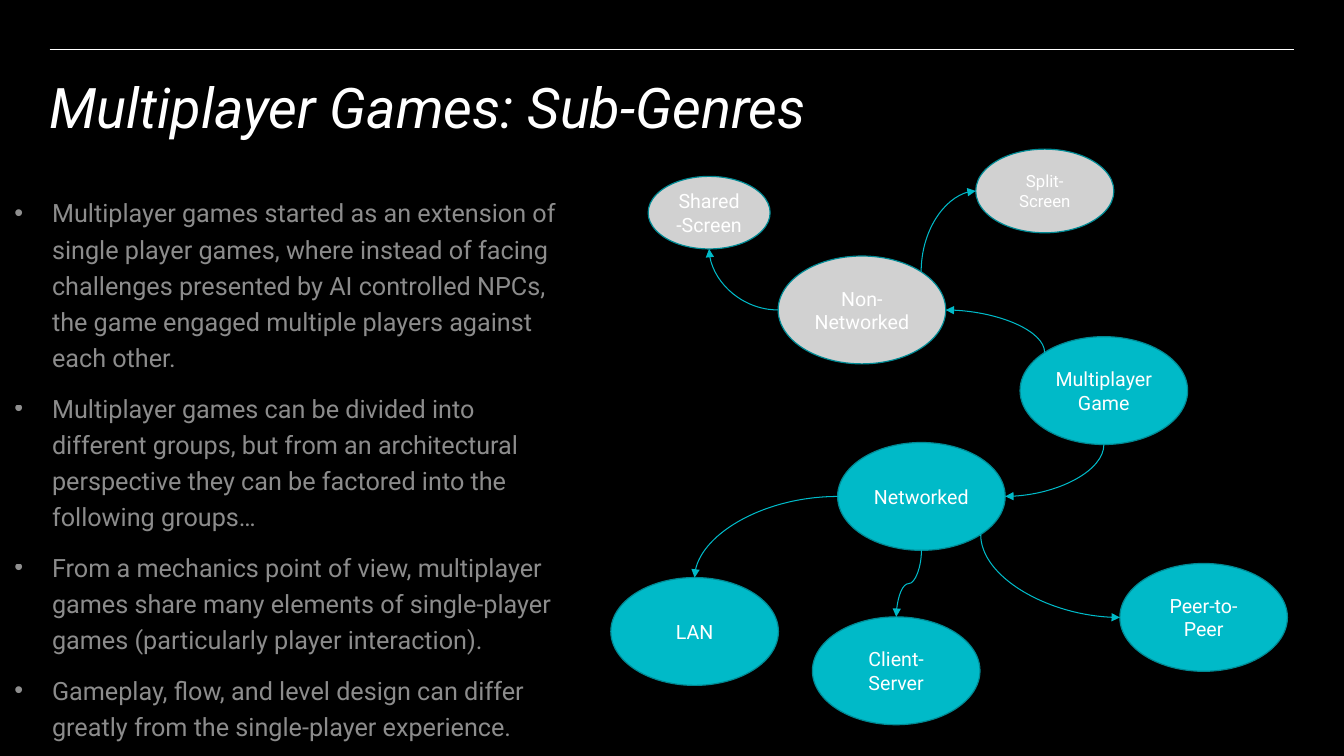
import math

import lxml.etree
import pptx
import pptx.dml.color
import pptx.enum.dml
import pptx.enum.shapes
import pptx.enum.text
import pptx.oxml.ns
import pptx.util

BLACK = pptx.dml.color.RGBColor(0x00, 0x00, 0x00)
WHITE = pptx.dml.color.RGBColor(0xFF, 0xFF, 0xFF)
TEAL = pptx.dml.color.RGBColor(0x00, 0xBA, 0xC8)
DARK_TEAL = pptx.dml.color.RGBColor(0x00, 0x8A, 0x94)
GREY = pptx.dml.color.RGBColor(0xD1, 0xD1, 0xD1)

COLUMNS, ROWS = 160, 90
SITES = ("top", "top left", "left", "bottom left",
         "bottom", "bottom right", "right", "top right")

GENRES = {
    "Multiplayer Game": dict(col=121.44, row=40.08),
    "Split-Screen": dict(col=116.16, row=17.76, cols=16.44, rows=9.96, fill=GREY, size=12),
    "Client-Server": dict(col=96.72, row=73.44),
    "LAN": dict(col=72.72, row=68.76),
    "Shared-Screen": dict(col=77.16, row=21, cols=14.52, rows=8.64, fill=GREY),
    "Non-Networked": dict(col=92.64, row=30.48, fill=GREY),
    "Peer-to-Peer": dict(col=133.32, row=67.08),
    "Networked": dict(col=99.72, row=52.68),
}

BRANCHES = [
    ("Multiplayer Game", "top left", "Non-Networked", "right"),
    ("Non-Networked", "top right", "Split-Screen", "left"),
    ("Non-Networked", "left", "Shared-Screen", "bottom"),
    ("Networked", "bottom right", "Peer-to-Peer", "left"),
    ("Multiplayer Game", "bottom", "Networked", "right"),
    ("Networked", "left", "LAN", "top"),
    ("Networked", "bottom", "Client-Server", "top"),
]

POINTS = [
    "Multiplayer games started as an extension of single player games, where instead of "
    "facing challenges presented by AI controlled NPCs, the game engaged multiple players "
    "against each other.",
    "Multiplayer games can be divided into different groups, but from an architectural "
    "perspective they can be factored into the following groups…",
    "From a mechanics point of view, multiplayer games share many elements of "
    "single-player games (particularly player interaction).",
    "Gameplay, flow, and level design can differ greatly from the single-player experience.",
]


def add_xml(parent, tag, **attributes):
    """Append a child element with the given attributes."""
    names = {key.replace("r_", ""): str(value) for key, value in attributes.items()}
    return lxml.etree.SubElement(parent, pptx.oxml.ns.qn(tag), names)


def write(paragraph, text, size=14, color=WHITE, italic=False, align=None, spacing=None,
          before=None, bullet_indent=None, opacity=None):
    """Fill a paragraph with formatted text."""
    if bullet_indent is not None:
        properties = paragraph._p.get_or_add_pPr()
        properties.set("marL", str(bullet_indent))
        properties.set("indent", str(-bullet_indent))
        add_xml(properties, "a:buFont", typeface="Arial")
        add_xml(properties, "a:buChar", char="•")
    paragraph.alignment = align
    paragraph.line_spacing = spacing
    paragraph.space_before = before
    run = paragraph.add_run()
    run.text = text
    run.font.name = "Roboto"
    run.font.size = pptx.util.Pt(size)
    run.font.italic = italic
    run.font.color.rgb = color
    if opacity is not None:
        tint = run.font.element if hasattr(run.font, "element") else run._r.rPr
        add_xml(tint.find(".//" + pptx.oxml.ns.qn("a:srgbClr")), "a:alpha",
                val=int(opacity * 100000))


class GenreSlide:
    """Hold the slide and its style, and draw each kind of element on a grid."""

    def __init__(self, deck):
        self.cell_width = deck.slide_width / COLUMNS
        self.cell_height = deck.slide_height / ROWS
        self.slide = deck.slides.add_slide(deck.slide_layouts[6])
        self.slide.background.fill.solid()
        self.slide.background.fill.fore_color.rgb = BLACK

    def x(self, columns):
        """Turn columns into a length."""
        return round(columns * self.cell_width)

    def y(self, rows):
        """Turn rows into a length."""
        return round(rows * self.cell_height)

    def text(self, col, row, cols, rows, paragraphs, anchor, right_inset=0, gap=None, **style):
        """Add a wrapped text box with one paragraph per text."""
        box = self.slide.shapes.add_textbox(self.x(col), self.y(row), self.x(cols), self.y(rows))
        frame = box.text_frame
        frame.word_wrap = True
        frame.vertical_anchor = anchor
        frame.margin_left = frame.margin_top = frame.margin_bottom = 0
        frame.margin_right = self.x(right_inset)
        for index, words in enumerate(paragraphs):
            paragraph = frame.add_paragraph() if index else frame.paragraphs[0]
            write(paragraph, words, before=gap if index else None, **style)

    def line(self, kind, begin, end, color, width):
        """Add a plain connector between two points."""
        connector = self.slide.shapes.add_connector(kind, *map(round, (*begin, *end)))
        connector.line.color.rgb = color
        connector.line.width = pptx.util.Pt(width)
        add_xml(connector.element.spPr, "a:effectLst")
        return connector

    def bubble(self, label, col, row, cols=19.95, rows=12.84, fill=TEAL, size=14):
        """Add a labelled ellipse."""
        oval = self.slide.shapes.add_shape(
            pptx.enum.shapes.MSO_SHAPE.OVAL,
            self.x(col), self.y(row), self.x(cols), self.y(rows))
        oval.shadow.inherit = False
        oval.fill.solid()
        oval.fill.fore_color.rgb = fill
        oval.line.color.rgb = DARK_TEAL
        oval.line.width = pptx.util.Pt(0.85)
        oval.text_frame.word_wrap = True
        oval.text_frame.vertical_anchor = pptx.enum.text.MSO_ANCHOR.MIDDLE
        write(oval.text_frame.paragraphs[0], label, size=size,
              align=pptx.enum.text.PP_ALIGN.CENTER)
        return oval

    def site(self, oval, name):
        """Locate a connection site on an ellipse."""
        angle = SITES.index(name) * math.pi / 4
        return (oval.left + oval.width / 2 * (1 - math.sin(angle)),
                oval.top + oval.height / 2 * (1 - math.cos(angle)))

    def branch(self, parent, exit_site, child, entry_site):
        """Add a curved arrow glued to two ellipses."""
        (x1, y1), (x2, y2) = self.site(parent, exit_site), self.site(child, entry_site)
        dx, dy, mid_x, mid_y = x2 - x1, y2 - y1, (x1 + x2) / 2, (y1 + y2) / 2
        leaves_vertically = exit_site != "left"
        if leaves_vertically:
            dx, dy = dy, -dx
        arrow = self.line(pptx.enum.shapes.MSO_CONNECTOR.CURVE,
                          (mid_x - dx / 2, mid_y - dy / 2),
                          (mid_x + dx / 2, mid_y + dy / 2), TEAL, 0.75)
        properties = arrow.element.spPr
        if leaves_vertically:
            properties.find(pptx.oxml.ns.qn("a:xfrm")).set("rot", str(90 * 60000))
        double_bend = leaves_vertically and entry_site in ("top", "bottom")
        properties.find(pptx.oxml.ns.qn("a:prstGeom")).set(
            "prst", "curvedConnector3" if double_bend else "curvedConnector2")
        add_xml(properties.find(pptx.oxml.ns.qn("a:ln")), "a:tailEnd", type="triangle")
        glue = arrow.element.find(".//" + pptx.oxml.ns.qn("p:cNvCxnSpPr"))
        for tag, oval, name in (("a:stCxn", parent, exit_site), ("a:endCxn", child, entry_site)):
            add_xml(glue, tag, id=oval.shape_id, idx=SITES.index(name))


def main():
    """Build the sub-genres slide."""
    deck = pptx.Presentation()
    deck.slide_width = pptx.util.Inches(13.33)
    deck.slide_height = pptx.util.Inches(7.5)
    page = GenreSlide(deck)
    page.text(5.9, 8.5, 148.2, 8.2, ["Multiplayer Games: Sub-Genres"],
              pptx.enum.text.MSO_ANCHOR.BOTTOM, size=40, italic=True, spacing=0.9)
    page.text(1.7, 22.8, 67, 65.6, POINTS, pptx.enum.text.MSO_ANCHOR.TOP, right_inset=1.2,
              gap=pptx.util.Pt(10), size=18, spacing=1.2, opacity=0.55,
              bullet_indent=page.x(4.5))
    page.line(pptx.enum.shapes.MSO_CONNECTOR.STRAIGHT, (page.x(5.9), page.y(5.9)),
              (page.x(154.1), page.y(5.9)), WHITE, 0.5)
    bubbles = {label: page.bubble(label, **place) for label, place in GENRES.items()}
    for parent, exit_site, child, entry_site in BRANCHES:
        page.branch(bubbles[parent], exit_site, bubbles[child], entry_site)
    deck.save("out.pptx")


if __name__ == "__main__":
    main()
